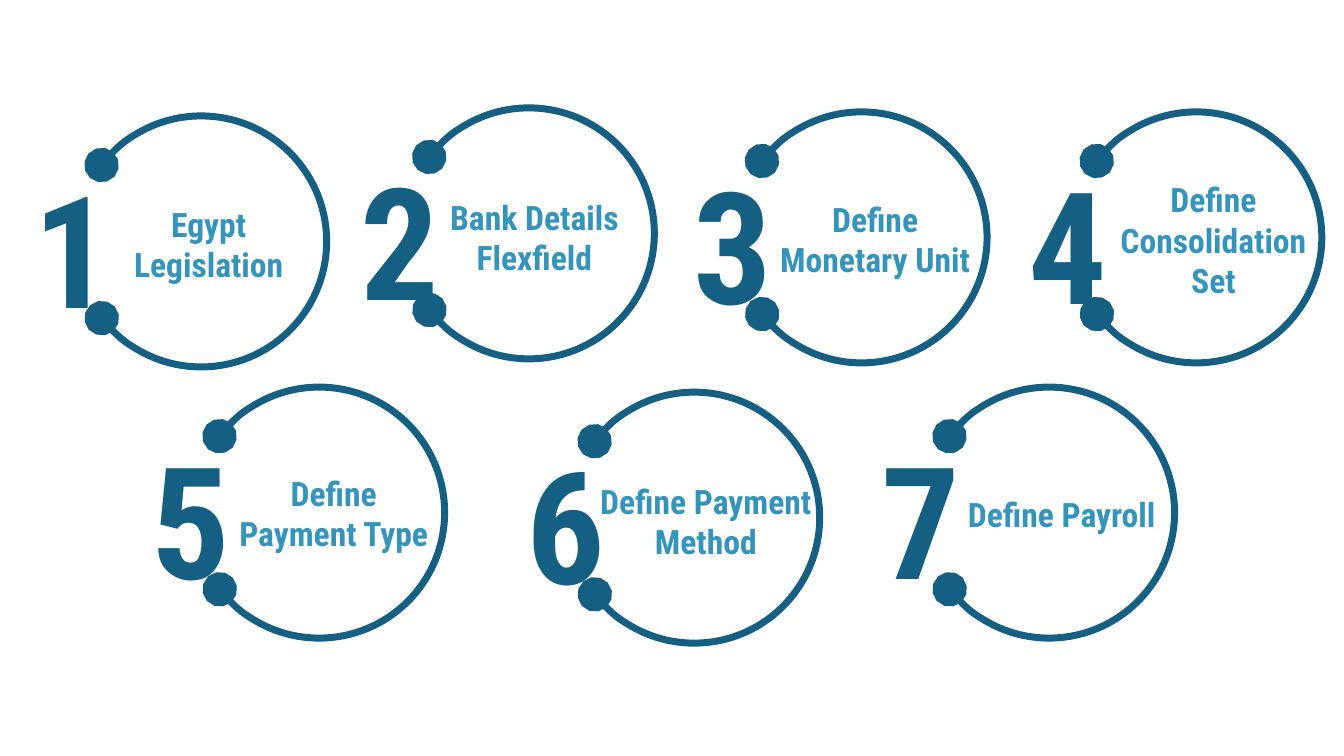
from dataclasses import dataclass

from lxml.etree import SubElement
from pptx import Presentation
from pptx.dml.color import RGBColor
from pptx.enum.shapes import MSO_SHAPE
from pptx.enum.text import MSO_ANCHOR, MSO_AUTO_SIZE, PP_ALIGN
from pptx.oxml.ns import qn
from pptx.util import Inches, Pt


@dataclass(frozen=True)
class Theme:
    font: str = "Roboto Condensed"
    dark: RGBColor = RGBColor(0x15, 0x60, 0x82)
    light: RGBColor = RGBColor(0x34, 0x94, 0xBA)
    number_size: float = 111.3
    label_size: float = 24
    line_width: float = 5


RING_SIZE = 2.49
RING_START, RING_END = 217.5, 142.33
NUMBER_WIDTH, NUMBER_HEIGHT = 1, 1.97

STEPS = [
    ("Egypt Legislation", (0.75, 1.15), (1, 1.97, 2.14, 0.91)),
    ("Bank Details Flexfield", (4, 1.07), (4.36, 1.9, 1.88, 1.31)),
    ("Define Monetary Unit", (7.3, 1.11), (7.6, 1.92, 2.16, 0.91)),
    ("Define Consolidation Set", (10.62, 1.11), (10.92, 1.73, 2.23, 1.31)),
    ("Define Payment Type", (1.92, 3.84), (2.18, 4.64, 2.26, 0.91)),
    ("Define Payment Method", (5.64, 3.89), (5.84, 4.72, 2.32, 1.31)),
    ("Define Payroll", (9.16, 3.84), (9.42, 4.85, 2.22, 0.5)),
]


class StepSlide:
    def __init__(self, s, theme):
        self.s = s
        self.theme = theme

    def ring(self, shapes, left, top):
        sp = shapes.add_shape(MSO_SHAPE.ARC, Inches(left), Inches(top),
                              Inches(RING_SIZE), Inches(RING_SIZE))
        sp.adjustments[0] = RING_START * 0.6
        sp.adjustments[1] = RING_END * 0.6
        sp.shadow.inherit = False
        sp.fill.background()
        sp.line.color.rgb = self.theme.dark
        sp.line.width = Pt(self.theme.line_width)
        ln = sp.line._get_or_add_ln()
        for end in ("a:headEnd", "a:tailEnd"):
            SubElement(ln, qn(end), type="oval", w="lg", len="lg")

    def text(self, shapes, text, box, size, color, wrap=True,
             anchor=MSO_ANCHOR.TOP):
        tf = shapes.add_textbox(*map(Inches, box)).text_frame
        tf.word_wrap = wrap
        tf.auto_size = MSO_AUTO_SIZE.SHAPE_TO_FIT_TEXT
        tf.vertical_anchor = anchor
        p = tf.paragraphs[0]
        p.alignment = PP_ALIGN.CENTER
        r = p.add_run()
        r.text = text
        p.font.name = self.theme.font
        p.font.size = Pt(size)
        p.font.bold = True
        p.font.color.rgb = color
        return r

    def number(self, shapes, number, left, top):
        box = (left - 0.03 - NUMBER_WIDTH / 2, top + 0.31,
               NUMBER_WIDTH, NUMBER_HEIGHT)
        r = self.text(shapes, str(number), box, self.theme.number_size,
                      self.theme.dark, wrap=False, anchor=MSO_ANCHOR.MIDDLE)
        r._r.get_or_add_rPr().set("spc", "-70")

    def step(self, number, label, ring_at, label_box):
        shapes = self.s.shapes.add_group_shape().shapes
        self.ring(shapes, *ring_at)
        self.number(shapes, number, *ring_at)
        self.text(shapes, label, label_box, self.theme.label_size,
                  self.theme.light)


def main():
    prs = Presentation()
    prs.slide_width = Inches(13.33)
    prs.slide_height = Inches(7.5)
    slide = StepSlide(prs.slides.add_slide(prs.slide_layouts[6]), Theme())
    for number, (label, ring_at, label_box) in enumerate(STEPS, 1):
        slide.step(number, label, ring_at, label_box)
    prs.save("out.pptx")


if __name__ == "__main__":
    main()
